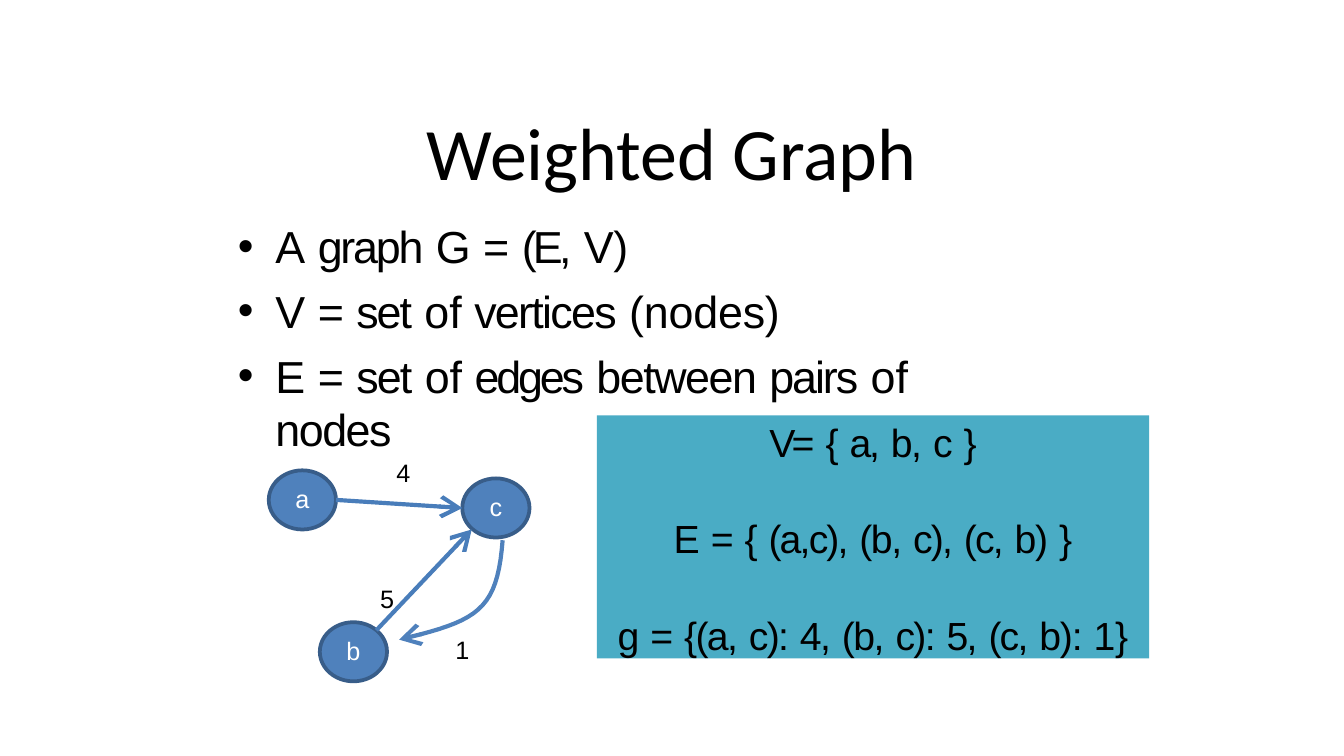
from itertools import groupby

from lxml import etree
from pptx import Presentation
from pptx.dml.color import RGBColor
from pptx.enum.shapes import MSO_CONNECTOR, MSO_SHAPE
from pptx.enum.text import MSO_ANCHOR, PP_ALIGN
from pptx.oxml.ns import qn
from pptx.util import Inches, Pt

OVAL, RECT = MSO_SHAPE.OVAL, MSO_SHAPE.RECTANGLE
STRAIGHT = MSO_CONNECTOR.STRAIGHT
LEFT, CENTER = PP_ALIGN.LEFT, PP_ALIGN.CENTER
TOP, MIDDLE = MSO_ANCHOR.TOP, MSO_ANCHOR.MIDDLE

BULLETS = [
    [("A ", -2.2), ("graph ", -1.2), ("G ", -3.6), ("= ", -2.1), ("(E, ", -2), ("V)", -0.2)],
    [("V ", -2.4), ("= ", -2.1), ("set ", -1.1), ("of ", 0), ("vertices ", -0.9), ("(nodes)", -0.1)],
    [("E ", -4.3), ("= ", -2.1), ("set ", -1), ("of ", 0), ("edges ", -1.7),
     ("between ", -0.8), ("pairs ", -1.1), ("of ", 0), ("nodes", -0.8)],
]
SETS = [
    [("V= ", -2), ("{ ", -0.5), ("a, ", -1.2), ("b, ", -0.8), ("c ", -1.7), ("}", -0.4)],
    [("E ", -3.8), ("= ", -1.9), ("{ ", -0.5), ("(a,c), ", -1), ("(b, ", -0.8),
     ("c), (c, ", -1), ("b) ", -0.7), ("}", -0.4)],
    [("g =", -1.9), (" {(a, c): 4, ", -0.9), ("(b, ", -0.8), ("c): 5, ", -0.9),
     ("(c, ", -1), ("b): ", -0.6), ("1}", -0.2)],
]
NODES = [("a", 2, 3.5), ("b", 2.38, 4.63), ("c", 3.44, 3.56)]
WEIGHTS = [("4", 2.94, 3.39), ("5", 2.82, 4.33), ("1", 3.38, 4.71)]
EDGES = [((2.5, 3.72), (3.44, 3.78)), ((2.8, 4.69), (3.51, 3.94))]
CURVE = [(3.74, 4.02), (3.7, 4.55), (3.55, 4.62), (2.97, 4.76)]


def color(code):
    return RGBColor.from_string(code)


def bezier(ends, steps=20):
    for i in range(steps + 1):
        t = i / steps
        parts = ((1 - t) ** 3, 3 * t * (1 - t) ** 2, 3 * t * t * (1 - t), t ** 3)
        yield tuple(Inches(sum(w * p[k] for w, p in zip(parts, ends))) for k in (0, 1))


class Board:
    font = "Arial"
    ink = "000000"
    blue = "4F81BC"
    rim = "385D89"
    edge = "497DBA"
    teal = "4AACC5"

    def __init__(self, slide):
        self.slide = slide
        self.shapes = slide.shapes

    def style(self, run, size, tint, font, gap=0):
        run.font.size = Pt(size)
        run.font.name = font
        run.font.color.rgb = color(tint)
        if gap:
            run.font._element.set("spc", str(round(gap * 100)))

    def frame(self, shape, anchor=TOP, top=0.0, low=0.0):
        frame = shape.text_frame
        frame.word_wrap = True
        frame.vertical_anchor = anchor
        frame.margin_left = frame.margin_right = 0
        frame.margin_top, frame.margin_bottom = Inches(top), Inches(low)
        return frame

    def lines(self, frame, rows, size, align, first, rest):
        for i, row in enumerate(rows):
            para = frame.add_paragraph() if i else frame.paragraphs[0]
            para.alignment = align
            para.space_before = Pt(rest if i else first)
            for text, gap in row:
                for blank, part in groupby(text, str.isspace):
                    run = para.add_run()
                    run.text = "".join(part)
                    self.style(run, size, self.ink, self.font, 0 if blank else gap)

    def title(self, text, *box):
        shape = self.shapes.title
        shape.left, shape.top, shape.width, shape.height = map(Inches, box)
        frame = shape.text_frame
        frame.text = text
        frame.vertical_anchor = MIDDLE
        frame.paragraphs[0].alignment = CENTER
        self.style(frame.paragraphs[0].runs[0], 39.6, self.ink, "Calibri")

    def list(self, rows, *box):
        frame = self.frame(self.shapes.add_textbox(*map(Inches, box)), top=0.09)
        self.lines(frame, rows, 24, LEFT, 6.5, 5.8)
        for para in frame.paragraphs:
            props = para._p.get_or_add_pPr()
            props.set("marL", str(Inches(0.29)))
            props.set("indent", str(Inches(-0.28)))
            etree.SubElement(props, qn("a:buFont")).set("typeface", self.font)
            etree.SubElement(props, qn("a:buChar")).set("char", "•")

    def shape(self, kind, fill, *box):
        shape = self.shapes.add_shape(kind, *map(Inches, box))
        shape.shadow.inherit = False
        shape.fill.solid()
        shape.fill.fore_color.rgb = color(fill)
        shape.line.fill.background()
        return shape

    def panel(self, rows, *box):
        shape = self.shape(RECT, self.teal, *box)
        self.lines(self.frame(shape, top=0.02), rows, 21, CENTER, 1.3, 26.5)

    def label(self, frame, text, tint):
        frame.text = text
        frame.paragraphs[0].alignment = CENTER
        self.style(frame.paragraphs[0].runs[0], 13.5, tint, self.font)

    def node(self, name, left, top):
        shape = self.shape(OVAL, self.blue, left, top, 0.5, 0.44)
        shape.line.color.rgb = color(self.rim)
        shape.line.width = Pt(2)
        self.label(self.frame(shape, MIDDLE, low=0.02), name, "FFFFFF")

    def weight(self, text, left, top):
        box = self.shapes.add_textbox(*map(Inches, (left, top, 0.12, 0.24)))
        self.label(self.frame(box, top=0.01), text, self.ink)

    def tip(self, shape, tint):
        shape.line.color.rgb = color(tint)
        shape.line.width = Pt(2.25)
        tail = etree.SubElement(shape.line._get_or_add_ln(), qn("a:tailEnd"))
        for key, value in (("type", "arrow"), ("w", "lg"), ("len", "lg")):
            tail.set(key, value)

    def arrow(self, start, end):
        line = self.shapes.add_connector(STRAIGHT, *map(Inches, start + end))
        self.tip(line, self.edge)
        etree.SubElement(line._element.spPr, qn("a:effectLst"))

    def curve(self, ends):
        first, *rest = bezier(ends)
        trace = self.shapes.build_freeform(*first)
        trace.add_line_segments(rest, close=False)
        shape = trace.convert_to_shape()
        shape.shadow.inherit = False
        shape.fill.background()
        self.tip(shape, self.blue)


def main():
    deck = Presentation()
    deck.slide_width = Inches(10)
    deck.slide_height = deck.slide_width * 9 // 16
    board = Board(deck.slides.add_slide(deck.slide_layouts[5]))
    board.title("Weighted Graph", 0.5, 0.77, 9, 0.7)
    board.list(BULLETS, 1.76, 1.54, 5.66, 1.47)
    for node in NODES:
        board.node(*node)
    for start, end in EDGES:
        board.arrow(start, end)
    board.curve(CURVE)
    for weight in WEIGHTS:
        board.weight(*weight)
    board.panel(SETS, 4.44, 3.09, 4.11, 1.81)
    deck.save("out.pptx")


if __name__ == "__main__":
    main()
